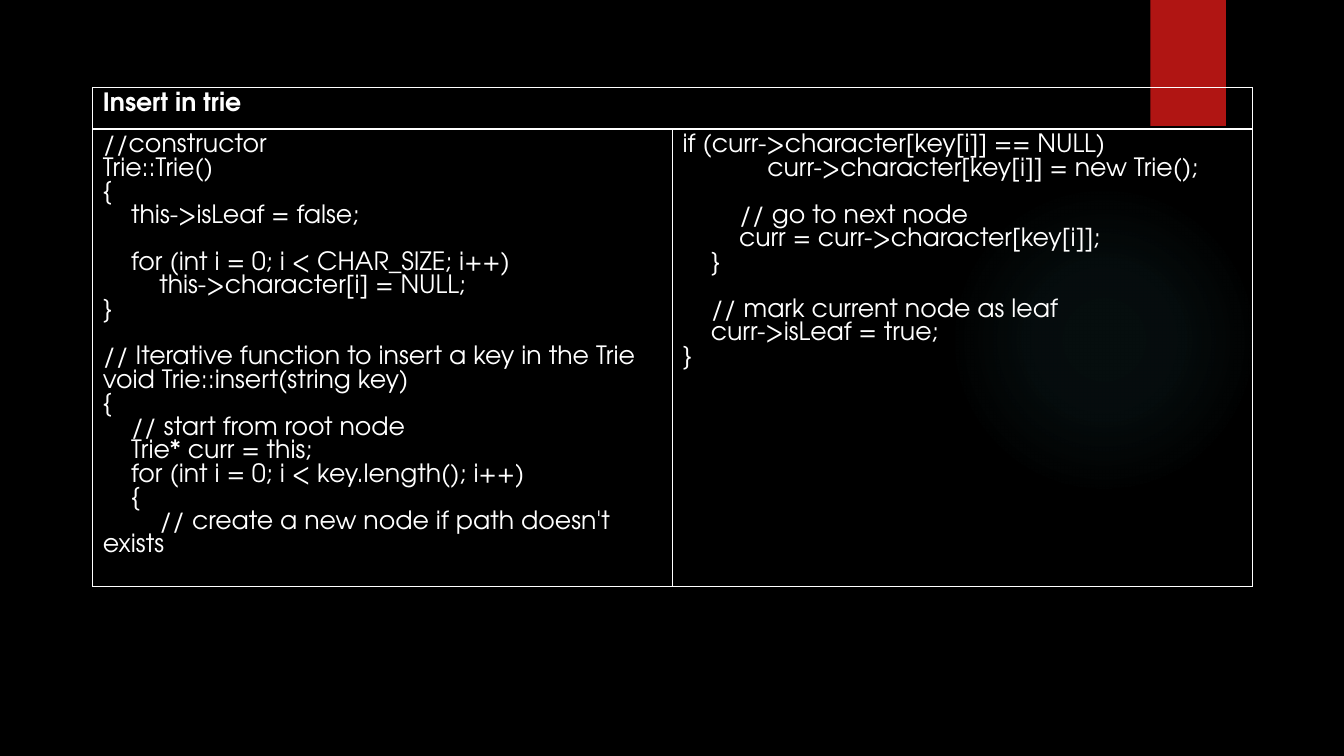
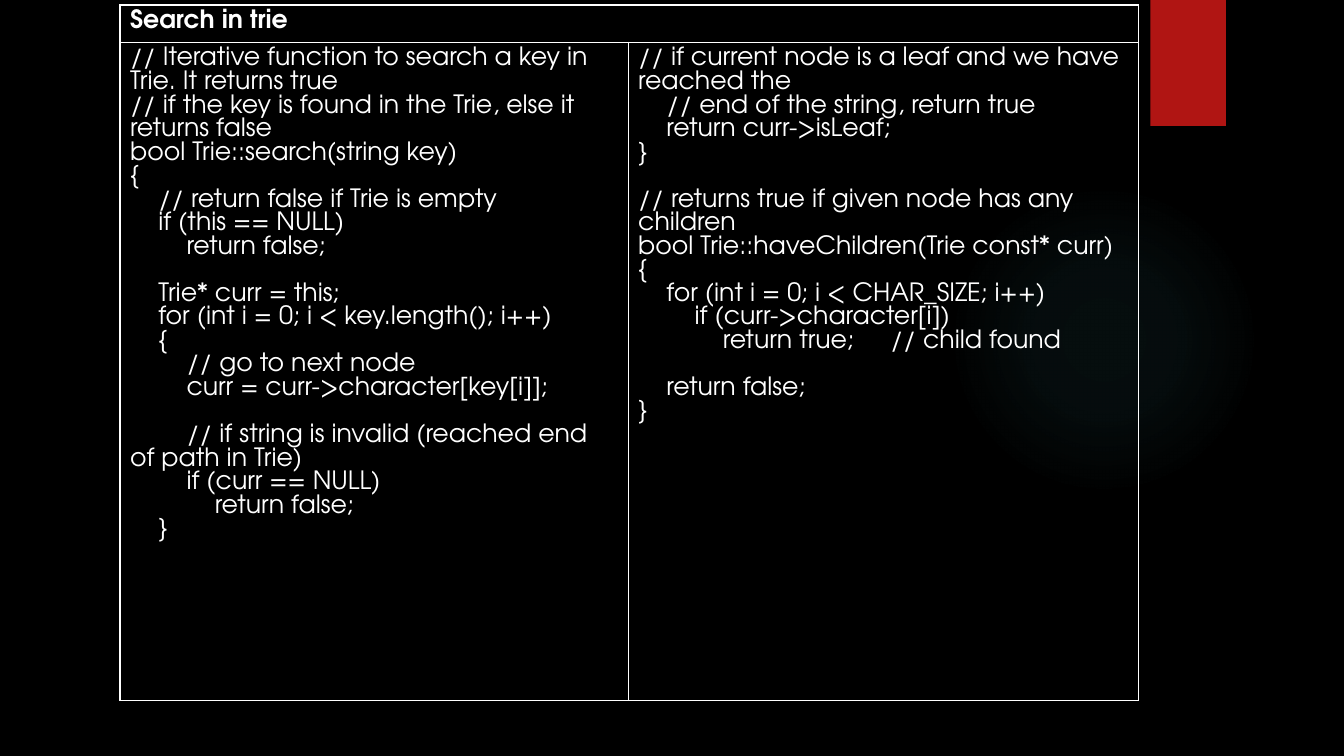
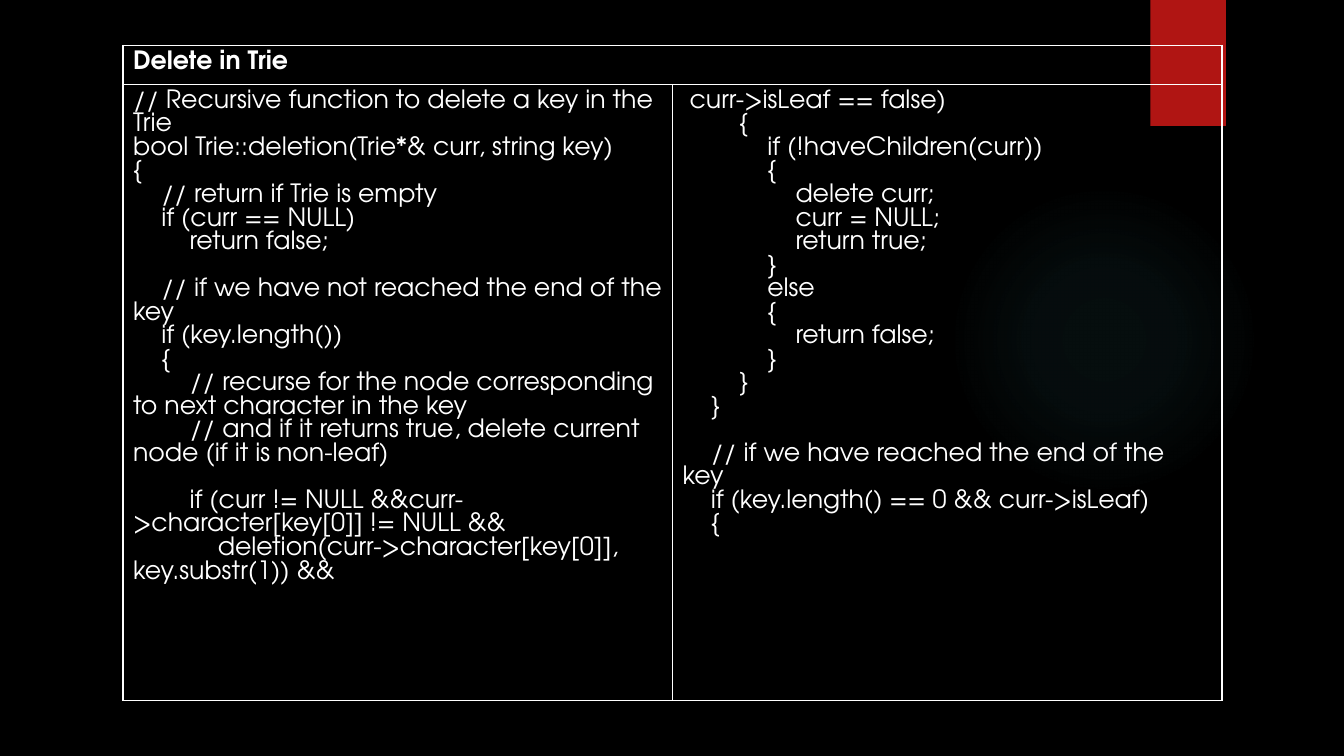
"""Build three slides of trie code listings on a shared dark master."""
from pptx import Presentation
from pptx.dml.color import RGBColor
from pptx.enum.shapes import MSO_SHAPE
from pptx.oxml import parse_xml
from pptx.oxml.ns import nsdecls
from pptx.util import Inches, Pt

ELLIPSE = MSO_SHAPE.OVAL
RECTANGLE = MSO_SHAPE.RECTANGLE

COLORS = {"background": "000000", "text": "FFFFFF", "band": "B01513",
          "glow": "50B9C1", "shadow": "000000"}
FONT = "TeX Gyre Adventor"
FONT_SIZE = Pt(18)
BLANK_LINE = Pt(16.8)
SPACE_WIDTH = 0.07
COMMENT_TAB = 2.41

INSERT_LEFT = """
//constructor
Trie::Trie()
{
    this->isLeaf = false;

    for (int i = 0; i < CHAR_SIZE; i++)
        this->character[i] = NULL;
}

// Iterative function to insert a key in the Trie
void Trie::insert(string key)
{
    // start from root node
    Trie* curr = this;
    for (int i = 0; i < key.length(); i++)
    {
        // create a new node if path doesn't exists
"""
INSERT_RIGHT = """
if (curr->character[key[i]] == NULL)
            curr->character[key[i]] = new Trie();

        // go to next node
        curr = curr->character[key[i]];
    }

    // mark current node as leaf
    curr->isLeaf = true;
}
"""
SEARCH_LEFT = """
// Iterative function to search a key in Trie. It returns true
// if the key is found in the Trie, else it returns false
bool Trie::search(string key)
{
    // return false if Trie is empty
    if (this == NULL)
        return false;

    Trie* curr = this;
    for (int i = 0; i < key.length(); i++)
    {
        // go to next node
        curr = curr->character[key[i]];

        // if string is invalid (reached end of path in Trie)
        if (curr == NULL)
            return false;
    }
"""
SEARCH_RIGHT = """
// if current node is a leaf and we have reached the
    // end of the string, return true
    return curr->isLeaf;
}

// returns true if given node has any children
bool Trie::haveChildren(Trie const* curr)
{
    for (int i = 0; i < CHAR_SIZE; i++)
        if (curr->character[i])
            return true;\t// child found

    return false;
}
"""
DELETE_LEFT = """
// Recursive function to delete a key in the Trie
bool Trie::deletion(Trie*& curr, string key)
{
    // return if Trie is empty
    if (curr == NULL)
        return false;

    // if we have not reached the end of the key
    if (key.length())
    {
        // recurse for the node corresponding to next character in the key
        // and if it returns true, delete current node (if it is non-leaf)

        if (curr != NULL &&curr->character[key[0]] != NULL &&
            deletion(curr->character[key[0]], key.substr(1)) &&
"""
DELETE_RIGHT = """
 curr->isLeaf == false)
        {
            if (!haveChildren(curr))
            {
                delete curr;
                curr = NULL;
                return true;
            }
            else
            {
                return false;
            }
        }
    }

    // if we have reached the end of the key
    if (key.length() == 0 && curr->isLeaf)
    {
"""


def color(name):
    """Return a palette colour."""
    return RGBColor.from_string(COLORS[name])


def add_master_shape(deck, slide, kind, left, top, width, height):
    """Add a lineless shape and move it to the slide master."""
    shape = slide.shapes.add_shape(
        kind, Inches(left), Inches(top), Inches(width), Inches(height))
    shape.shadow.inherit = False
    shape.line.fill.background()
    deck.slide_master.element.cSld.spTree.append(shape.element)
    return shape


def add_glow(deck, slide):
    """Put the faint radial glow on the master."""
    glow = add_master_shape(deck, slide, ELLIPSE, 9.41, 1.83, 3.08, 3.08)
    stops = "".join(
        f'<a:gs pos="{position * 1000}"><a:srgbClr val="{COLORS["glow"]}">'
        f'<a:alpha val="{alpha * 1000}"/></a:srgbClr></a:gs>'
        for position, alpha in ((0, 7), (36, 6), (69, 0)))
    glow.element.spPr.insert(2, parse_xml(
        f'<a:gradFill {nsdecls("a")}><a:gsLst>{stops}</a:gsLst>'
        '<a:path path="circle"><a:fillToRect l="50000" t="50000" r="50000" '
        'b="50000"/></a:path></a:gradFill>'))


def add_band(deck, slide):
    """Put the red band with its soft shadow on the master."""
    band = add_master_shape(deck, slide, RECTANGLE, 11.41, 0, 0.75, 1.25)
    band.fill.solid()
    band.fill.fore_color.rgb = color("band")
    effects = band.element.spPr.find(
        "{http://schemas.openxmlformats.org/drawingml/2006/main}effectLst")
    effects.append(parse_xml(
        f'<a:outerShdw {nsdecls("a")} blurRad="{Pt(3)}" dist="{Pt(2)}" '
        f'dir="5400000"><a:srgbClr val="{COLORS["shadow"]}">'
        '<a:alpha val="45000"/></a:srgbClr></a:outerShdw>'))


def format_cell(cell):
    """Give a cell white borders and no fill."""
    properties = cell._tc.get_or_add_tcPr()
    for side in ("lnL", "lnR", "lnT", "lnB"):
        properties.append(parse_xml(
            f'<a:{side} {nsdecls("a")} w="{Pt(1)}"><a:solidFill>'
            f'<a:srgbClr val="{COLORS["text"]}"/></a:solidFill></a:{side}>'))
    cell.fill.background()


def write_line(para, text, bold=False):
    """Write one line in the listing font."""
    para.text = text
    para.font.name = FONT
    para.font.size = FONT_SIZE
    para.font.bold = bold
    para.font.color.rgb = color("text")


def write_code(cell, code):
    """Write code, turning leading spaces into indents and blank lines into gaps."""
    frame = cell.text_frame
    para = frame.paragraphs[0]
    blank_before = False
    for number, line in enumerate(code.strip("\n").split("\n")):
        text = line.lstrip(" ")
        if not text:
            blank_before = True
            continue
        if number:
            para = frame.add_paragraph()
        write_line(para, text)
        if blank_before:
            para.space_before = BLANK_LINE
            blank_before = False
        properties = para._p.get_or_add_pPr()
        properties.set("marL", "0")
        properties.set("indent", str(Inches((len(line) - len(text)) * SPACE_WIDTH)))
        if "\t" in text:
            properties.append(parse_xml(
                f'<a:tabLst {nsdecls("a")}><a:tab pos="{Inches(COMMENT_TAB)}" '
                'algn="l"/></a:tabLst>'))


def add_listing(slide, title, codes, left, top, widths, heights):
    """Add a table with a merged title row above two columns of code."""
    table = slide.shapes.add_table(
        2, 2, Inches(left), Inches(top),
        Inches(sum(widths)), Inches(sum(heights))).table
    table.first_row = False
    table.horz_banding = False
    for column, width in zip(table.columns, widths):
        column.width = Inches(width)
    for row, height in zip(table.rows, heights):
        row.height = Inches(height)
    for cell in table.iter_cells():
        format_cell(cell)
    header = table.cell(0, 0)
    header.merge(table.cell(0, 1))
    write_line(header.text_frame.paragraphs[0], title, bold=True)
    for index, code in enumerate(codes):
        write_code(table.cell(1, index), code)


def main():
    """Build and save the deck."""
    deck = Presentation()
    deck.slide_width, deck.slide_height = Inches(13.33), Inches(7.5)
    background = deck.slide_master.background.fill
    background.solid()
    background.fore_color.rgb = color("background")
    blank = deck.slide_layouts[6]
    insert, search, delete = [deck.slides.add_slide(blank) for _ in range(3)]
    add_glow(deck, insert)
    add_band(deck, insert)
    add_listing(insert, "Insert in trie", (INSERT_LEFT, INSERT_RIGHT),
                0.92, 0.87, (5.75, 5.75), (0.41, 4.54))
    add_listing(search, "Search in trie", (SEARCH_LEFT, SEARCH_RIGHT),
                1.19, 0.05, (5.04, 5.06), (0.37, 6.53))
    add_listing(delete, "Delete in Trie", (DELETE_LEFT, DELETE_RIGHT),
                1.22, 0.45, (5.45, 5.45), (0.39, 6.11))
    deck.save("out.pptx")


if __name__ == "__main__":
    main()
